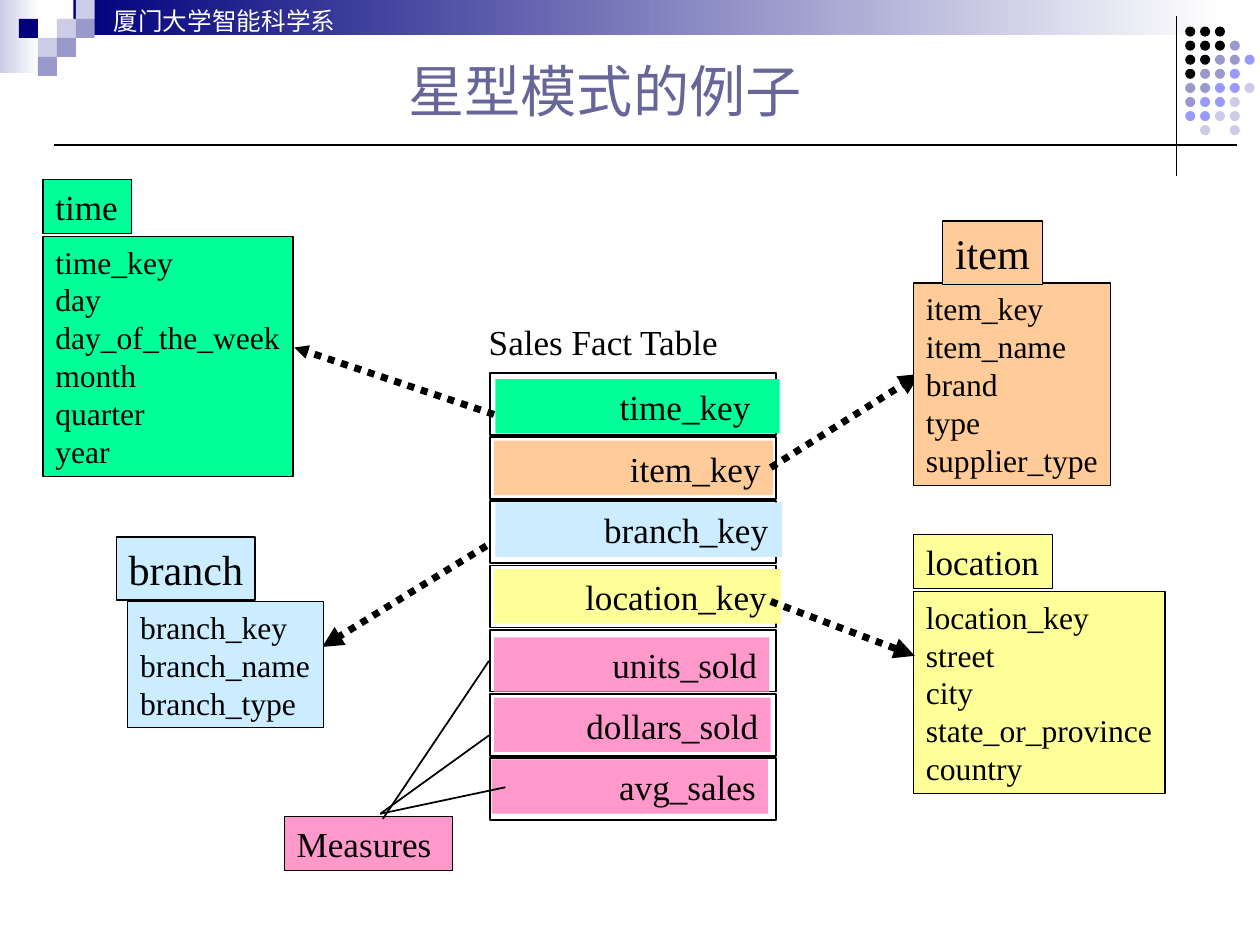
from collections import namedtuple
from dataclasses import dataclass

from lxml.etree import SubElement
from pptx import Presentation
from pptx.dml.color import RGBColor
from pptx.enum.dml import MSO_LINE_DASH_STYLE as Dash
from pptx.enum.shapes import MSO_CONNECTOR as Connector, MSO_SHAPE as Shape
from pptx.enum.text import MSO_ANCHOR as Anchor, PP_ALIGN as Align
from pptx.oxml.ns import qn
from pptx.util import Pt

PX = 9144
Box = namedtuple("Box", "left top width height")


@dataclass(frozen=True)
class Theme:
    """Colours, fonts and type sizes of the slide."""
    black: str = "000000"
    white: str = "FFFFFF"
    navy: str = "00007D"
    title: str = "666699"
    lavender: str = "9999CC"
    violet: str = "9999FF"
    pale: str = "CCCCE6"
    green: str = "00FF99"
    orange: str = "FFCC99"
    blue: str = "CCECFF"
    yellow: str = "FFFF99"
    pink: str = "FF99CC"
    serif: str = "Times New Roman"
    sans: str = "Roboto"
    title_size: int = 32
    tag_size: int = 24
    key_size: int = 20
    field_size: int = 18
    header_size: int = 14


THEME = Theme()


def rgb(color):
    """Turn a hex string into a colour."""
    return RGBColor.from_string(color)


def emu(*lengths):
    """Scale px lengths to EMU."""
    return [round(length * PX) for length in lengths]


def add_block(slide, box, fill=None, outline=None, kind=Shape.RECTANGLE):
    """Add a shape; a fill of two colours is a gradient to the right."""
    shape = slide.shapes.add_shape(kind, *emu(*box))
    shape.shadow.inherit = False
    if fill is None:
        shape.fill.background()
    elif isinstance(fill, tuple):
        shape.fill.gradient()
        shape.fill.gradient_angle = 0
        for stop, color, position in zip(shape.fill.gradient_stops, fill, (0, 1)):
            stop.color.rgb, stop.position = rgb(color), position
    else:
        shape.fill.solid()
        shape.fill.fore_color.rgb = rgb(fill)
    if outline is None:
        shape.line.fill.background()
    else:
        shape.line.color.rgb, shape.line.width = rgb(THEME.black), Pt(outline)
    return shape


def write(shape, lines, size, color=THEME.black, font=THEME.serif, align=Align.LEFT,
          anchor=Anchor.TOP, wrap=False, leading=1.2, left=10, right=10):
    """Write one paragraph per line into a shape."""
    frame = shape.text_frame
    frame.word_wrap, frame.vertical_anchor = wrap, anchor
    frame.margin_left, frame.margin_right, frame.margin_top, frame.margin_bottom = emu(left, right, 5, 5)
    for index, line in enumerate(lines):
        paragraph = frame.add_paragraph() if index else frame.paragraphs[0]
        paragraph.alignment = align
        if leading:
            paragraph.line_spacing = Pt(size * leading)
        run = paragraph.add_run()
        run.text = line
        run.font.size, run.font.name, run.font.color.rgb = Pt(size), font, rgb(color)


def add_line(slide, start, end, width=1, head=None):
    """Draw a plain line, or a dotted one with an arrowhead of the given size."""
    line = slide.shapes.add_connector(Connector.STRAIGHT, *emu(*start, *end))
    line.line.color.rgb, line.line.width = rgb(THEME.black), Pt(width)
    if head:
        line.line.dash_style = Dash.ROUND_DOT
        SubElement(line.line._get_or_add_ln(), qn("a:tailEnd"), type="triangle", w=head, len=head)
    SubElement(line._element.spPr, qn("a:effectLst"))


def add_header(slide, box):
    """Draw the top band with its text and mosaic of squares."""
    add_block(slide, Box(box.left, box.top, 31, 58), (THEME.pale, THEME.white))
    band = add_block(slide, Box(box.left + 58, box.top, box.width - 58, box.height),
                     (THEME.navy, THEME.white))
    write(band, ["厦门大学智能科学系"], THEME.header_size, THEME.white,
          wrap=True, leading=None, left=32)
    side = 15
    squares = [(3, 1, THEME.pale), (4, 0, THEME.pale), (4, 1, THEME.lavender),
               (2, 2, THEME.pale), (1, 1, THEME.navy), (3, 2, THEME.lavender),
               (2, 3, THEME.lavender)]
    for column, row, color in squares:
        add_block(slide, Box(box.left + column * side, box.top + row * side, side, side), color)


def add_title(slide, box):
    """Place the title with its rules."""
    add_line(slide, (box.left, box.top + 79), (box.left + 936, box.top + 79))
    add_line(slide, (box.left + 888, box.top - 23), (box.left + 888, box.top + 103), 0.75)
    title = slide.shapes.add_textbox(*emu(*box))
    write(title, ["星型模式的例子"], THEME.title_size, THEME.title, THEME.sans,
          Align.CENTER, Anchor.MIDDLE, True, None)


def add_dots(slide, box):
    """Draw the dot grid at the top right."""
    colors = {"k": THEME.black, "g": THEME.lavender, "v": THEME.violet, "p": THEME.pale}
    rows = ["kkk", "kkkg", "kkggv", "kggv", "ggvvp", "gvvp", "vvpp", ".p.p"]
    dot = 8
    across, down = (box.width - dot) / 4, (box.height - dot) / 7
    for row, pattern in enumerate(rows):
        for column, mark in enumerate(pattern):
            if mark in colors:
                spot = Box(box.left + column * across, box.top + row * down, dot, dot)
                add_block(slide, spot, colors[mark], kind=Shape.OVAL)


def add_dimension(slide, box, tag, fields, color):
    """Draw a dimension table with its name tag above the fields."""
    name, shift, gap, width, height, size = tag
    body = add_block(slide, box, color, 0.75)
    write(body, fields, THEME.field_size)
    label = add_block(slide, Box(box.left + shift, box.top - gap - height, width, height), color, 0.75)
    write(label, [name], size)


def add_fact_table(slide, box):
    """Draw the fact table: framed rows holding coloured keys."""
    caption = slide.shapes.add_textbox(*emu(box.left - 11, box.top - 46, 204, 43))
    write(caption, ["Sales Fact Table"], THEME.key_size)
    keys = [("time_key", THEME.green, 4, 5, 225, 23), ("item_key", THEME.orange, 3, 3, 221, 10),
            ("branch_key", THEME.blue, 4, 1, 227, 11), ("location_key", THEME.yellow, 3, 3, 227, 11),
            ("units_sold", THEME.pink, 3, 6, 218, 10), ("dollars_sold", THEME.pink, 3, 3, 219, 10),
            ("avg_sales", THEME.pink, 1, 1, 219, 10)]
    row_height = 49
    pitch = (box.height - row_height) / (len(keys) - 1)
    for row, (name, color, across, down, width, inset) in enumerate(keys):
        top = box.top + row * pitch
        add_block(slide, Box(box.left, top, box.width, row_height), outline=1)
        bar = add_block(slide, Box(box.left + across, top + down, width, 43), color)
        write(bar, [name], THEME.key_size, align=Align.RIGHT, wrap=True, right=inset)


def add_measures(slide, box):
    """Draw the measures box and its lines to the fact table."""
    label = add_block(slide, box, THEME.pink, 0.75)
    write(label, ["Measures"], THEME.key_size, wrap=True)
    for start, end in [((78, 2), (162, -123)), ((76, -2), (162, -64)), ((76, -2), (175, -23))]:
        add_line(slide, *((box.left + x, box.top + y) for x, y in (start, end)))


def add_star_schema(slide):
    """Place the fact table, the dimensions and the arrows between them."""
    add_dimension(slide, Box(34, 187, 198, 190), ("time", 0, 2, 70, 43, THEME.key_size),
                  ["time_key", "day", "day_of_the_week", "month", "quarter", "year"], THEME.green)
    add_dimension(slide, Box(723, 468, 199, 160), ("location", 0, 2, 110, 43, THEME.key_size),
                  ["location_key", "street", "city", "state_or_province", "country"], THEME.yellow)
    add_fact_table(slide, Box(388, 295, 226, 354))
    add_measures(slide, Box(225, 646, 133, 43))
    for start, end, head in [((385, 432), (255, 512), "med"), ((391, 328), (233, 275), "sm"),
                             ((610, 476), (724, 519), "med"), ((610, 370), (728, 296), "med")]:
        add_line(slide, start, end, 4, head)
    add_dimension(slide, Box(723, 224, 156, 160), ("item", 23, -1, 79, 50, THEME.tag_size),
                  ["item_key", "item_name", "brand", "type", "supplier_type"], THEME.orange)
    add_dimension(slide, Box(101, 476, 155, 100), ("branch", -9, 1, 110, 50, THEME.tag_size),
                  ["branch_key", "branch_name", "branch_type"], THEME.blue)


def main():
    """Build and save the slide."""
    presentation = Presentation()
    presentation.slide_width, presentation.slide_height = Pt(718), Pt(539)
    slide = presentation.slides.add_slide(presentation.slide_layouts[6])
    add_header(slide, Box(0, 0, 969, 28))
    add_dots(slide, Box(938, 21, 55, 86))
    add_title(slide, Box(43, 36, 872, 71))
    add_star_schema(slide)
    presentation.save("out.pptx")


if __name__ == "__main__":
    main()
